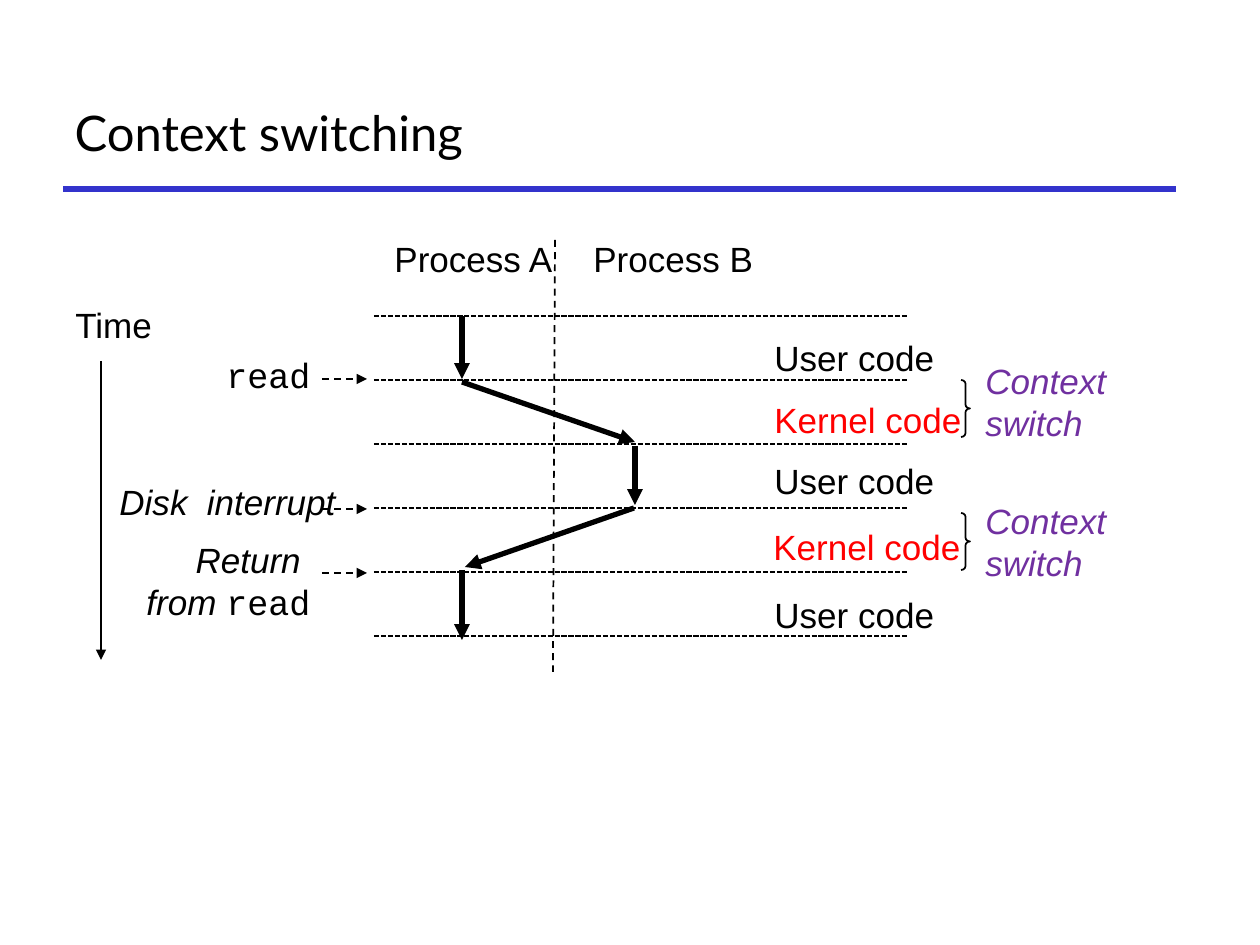
from typing import NamedTuple

from lxml.etree import SubElement
from pptx import Presentation
from pptx.dml.color import RGBColor
from pptx.enum.dml import MSO_LINE
from pptx.enum.shapes import MSO_CONNECTOR, MSO_SHAPE
from pptx.enum.text import MSO_ANCHOR, MSO_AUTO_SIZE, PP_ALIGN
from pptx.oxml.ns import qn
from pptx.util import Emu, Pt

BLACK, RED, PURPLE, BLUE = "000000", "FF0000", "7030A0", "3333CC"
SANS, MONO = "Arial", "Courier New"
DASH, DOT = MSO_LINE.DASH, MSO_LINE.SQUARE_DOT
TOP, STEP = 316, 64


class Label(NamedTuple):
    text: str
    x: int
    y: int
    w: int
    h: int = 55
    color: str = BLACK
    face: str = SANS
    slant: bool = False


class Line(NamedTuple):
    x1: int
    y1: int
    x2: int
    y2: int
    width: int = 1
    dash: MSO_LINE | None = None
    arrow: bool = True
    color: str = BLACK


def px(count: int) -> Emu:
    """Turn pixels into EMU."""
    return Emu(round(count * 914400 / 126))


def paint(code: str) -> RGBColor:
    """Turn a hex string into a colour."""
    return RGBColor.from_string(code)


def style(font, size: int, face: str, color: str, slant: bool = False) -> None:
    """Set the look of a font."""
    font.size, font.name, font.italic = Pt(size), face, slant
    font.color.rgb = paint(color)


def write(slide, label: Label):
    """Add a label and return its text frame."""
    box = slide.shapes.add_textbox(*map(px, label[1:5]))
    frame = box.text_frame
    frame.word_wrap = False
    frame.auto_size = MSO_AUTO_SIZE.SHAPE_TO_FIT_TEXT
    frame.text = label.text
    for para in frame.paragraphs:
        style(para.font, 20, label.face, label.color, label.slant)
    return frame


def draw(slide, line: Line) -> None:
    """Add a line, with an arrowhead at its end if asked."""
    link = slide.shapes.add_connector(MSO_CONNECTOR.STRAIGHT, *map(px, line[:4]))
    link.line.width = Pt(line.width)
    link.line.color.rgb = paint(line.color)
    if line.dash:
        link.line.dash_style = line.dash
    if line.arrow:
        SubElement(link.line._get_or_add_ln(), qn("a:tailEnd"), type="triangle")
    SubElement(link._element.spPr, qn("a:effectLst"))


def brace(slide, y: int) -> None:
    """Add a right brace beside a context switch."""
    shape = slide.shapes.add_shape(
        MSO_SHAPE.RIGHT_BRACE, px(961), px(y), px(9), px(57))
    shape.adjustments[0] = 0.43
    shape.shadow.inherit = False
    shape.fill.background()
    shape.line.width = Pt(1)
    shape.line.color.rgb = paint(BLACK)


def head(slide) -> None:
    """Place the title and the rule below it."""
    title = slide.shapes.title
    title.left, title.top, title.width, title.height = map(px, (62, 85, 834, 94))
    frame = title.text_frame
    frame.text = "Context switching"
    frame.vertical_anchor = MSO_ANCHOR.MIDDLE
    para = frame.paragraphs[0]
    para.alignment = PP_ALIGN.LEFT
    style(para.font, 28, "Lato", BLACK)
    draw(slide, Line(63, 189, 1176, 189, 3, arrow=False, color=BLUE))


LABELS = [
    Label("Process A", 382, 231, 184),
    Label("Process B", 581, 231, 186),
    Label("Time", 63, 297, 103),
    Label("User code", 762, 330, 186),
    Label("Kernel code", 762, 392, 214, color=RED),
    Label("User code", 762, 453, 186),
    Label("Kernel code", 761, 519, 214, color=RED),
    Label("User code", 762, 587, 186),
    Label("read", 214, 347, 111, face=MONO),
    Label("Disk  interrupt", 107, 474, 243, slant=True),
]

FLOW = [
    Line(462, 316, 462, 379, 3),
    Line(462, 382, 635, 442, 3),
    Line(635, 446, 635, 505, 3),
    Line(634, 508, 465, 567, 3),
    Line(462, 570, 462, 640, 3),
]


def main() -> None:
    """Build the slide and save it."""
    deck = Presentation()
    deck.slide_width, deck.slide_height = px(1260), px(945)
    slide = deck.slides.add_slide(deck.slide_layouts[5])
    head(slide)

    draw(slide, Line(555, 240, 553, 672, dash=DASH, arrow=False))
    for row in range(6):
        y = TOP + row * STEP
        draw(slide, Line(374, y, 907, y, dash=DOT, arrow=False))
    for y in (379, 509, 573):
        draw(slide, Line(322, y, 367, y, dash=DASH))
    draw(slide, Line(101, 361, 101, 660))
    for line in FLOW:
        draw(slide, line)

    for label in LABELS:
        write(slide, label)
    for edge, y in ((380, 353), (513, 493)):
        brace(slide, edge)
        write(slide, Label("Context\nswitch", 973, y, 157, 97, PURPLE, slant=True))

    frame = write(slide, Label("Return \nfrom ", 133, 532, 190, 97, slant=True))
    for para in frame.paragraphs:
        para.alignment = PP_ALIGN.RIGHT
    run = frame.paragraphs[1].add_run()
    run.text = "read"
    run.font.name, run.font.italic = MONO, False

    deck.save("out.pptx")


if __name__ == "__main__":
    main()
